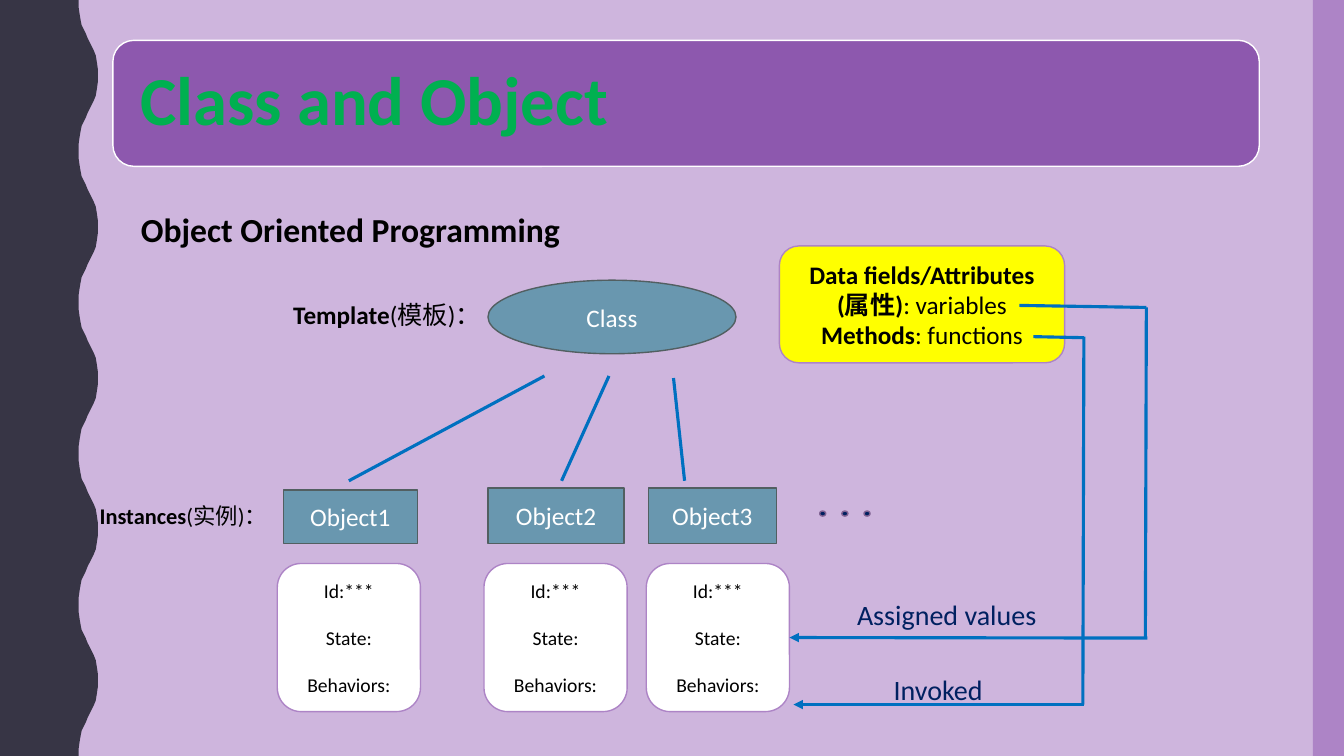
from lxml import etree
from pptx import Presentation
from pptx.dml.color import RGBColor
from pptx.enum.shapes import MSO_CONNECTOR, MSO_SHAPE
from pptx.enum.text import MSO_ANCHOR as ANCHOR, MSO_AUTO_SIZE as AUTO, PP_ALIGN as ALIGN
from pptx.oxml.ns import qn
from pptx.util import Inches, Pt

COLORS = {
    "background": "CEB5DD", "wave": "373545", "lilac": "AD84C6", "banner": "874EA9",
    "title": "00B050", "blue": "6997AF", "outline": "525F61", "line": "0070C0",
    "navy": "002060", "dot_edge": "806292", "yellow": "FFFF00",
    "white": "FFFFFF", "black": "000000",
}

# Left edge of the wave over half a period, as (x, y) in hundredths of an inch.
HALF_WAVE = [
    (78, 0), (78, 7), (79, 14), (80, 20), (81, 25), (83, 29), (85, 33), (87, 38),
    (89, 42), (91, 46), (93, 50), (95, 55), (96, 61), (97, 68), (97, 75),
]
PERIOD = 150


def rgb(name):
    return RGBColor.from_string(COLORS[name])


def set_all(target, values):
    for name, value in values.items():
        setattr(target, name, value)


class SlideBuilder:
    """Holds the text style and the slide being drawn."""

    font = "Calibri"

    def __init__(self, slide):
        self.slide = slide
        self.shapes = slide.shapes
        fill = slide.background.fill
        fill.solid()
        fill.fore_color.rgb = rgb("background")

    def add_text(self, frame, paras, size, color, align=ALIGN.CENTER, **para_format):
        """Fill a frame; each paragraph is a list of (text, bold) spans."""
        for number, spans in enumerate(paras):
            para = frame.add_paragraph() if number else frame.paragraphs[0]
            set_all(para, {"alignment": align, **para_format})
            if number == 0:
                para.space_before = Pt(0)
            for text, bold in spans:
                span = para.add_run()
                span.text = text
                set_all(span.font, {"name": self.font, "size": Pt(size), "bold": bold})
                span.font.color.rgb = rgb(color)

    def paint(self, shape, fill, line=None):
        shape.shadow.inherit = False
        shape.fill.solid()
        shape.fill.fore_color.rgb = rgb(fill)
        if line:
            shape.line.color.rgb = rgb(line)
            shape.line.width = Pt(1)
        else:
            shape.line.fill.background()

    def shape(self, kind, place, fill, line=None, paras=(), size=18, color="white", **para_format):
        shape = self.shapes.add_shape(kind, *map(Inches, place))
        self.paint(shape, fill, line)
        set_all(shape.text_frame, {"word_wrap": True, "vertical_anchor": ANCHOR.MIDDLE})
        self.add_text(shape.text_frame, paras, size, color, **para_format)
        return shape

    def wave(self, periods):
        rise = HALF_WAVE + [(x, PERIOD - y) for x, y in HALF_WAVE[-2::-1]]
        edge = [(x, y + PERIOD * turn) for turn in range(periods) for x, y in rise]
        builder = self.shapes.build_freeform(0, 0, scale=Inches(0.01))
        builder.add_line_segments(edge + [(0, PERIOD * periods)], close=True)
        self.paint(builder.convert_to_shape(), "wave")

    def title(self, text, place):
        title = self.shapes.title
        # Bring the title in front of its banner.
        title.element.getparent().append(title.element)
        set_all(title, dict(zip(("left", "top", "width", "height"), map(Inches, place))))
        margins = ("margin_left", "margin_top", "margin_right", "margin_bottom")
        set_all(title.text_frame, dict.fromkeys(margins, Inches(0.2)))
        set_all(title.text_frame, {"word_wrap": True, "auto_size": AUTO.NONE,
                                   "vertical_anchor": ANCHOR.MIDDLE})
        self.add_text(title.text_frame, [[(text, True)]], 49, "title", ALIGN.LEFT,
                      line_spacing=0.9)

    def label(self, place, spans, size, color="black", align=ALIGN.CENTER, wrap=True):
        box = self.shapes.add_textbox(*map(Inches, place))
        set_all(box.text_frame, {"word_wrap": wrap, "auto_size": AUTO.SHAPE_TO_FIT_TEXT})
        self.add_text(box.text_frame, [spans], size, color, align)

    def line(self, start, end, arrow=False):
        line = self.shapes.add_connector(MSO_CONNECTOR.STRAIGHT, *map(Inches, start + end))
        line.line.color.rgb = rgb("line")
        line.line.width = Pt(2.25)
        properties = line.element.find(qn("p:spPr"))
        if arrow:
            outline = properties.find(qn("a:ln"))
            etree.SubElement(outline, qn("a:tailEnd"), type="triangle")
        etree.SubElement(properties, qn("a:effectLst"))
        return line


def main():
    deck = Presentation()
    set_all(deck, {"slide_width": Inches(13.33), "slide_height": Inches(7.5)})
    page = SlideBuilder(deck.slides.add_slide(deck.slide_layouts[5]))

    page.wave(periods=5)
    page.shape(MSO_SHAPE.RECTANGLE, (13.02, 0, 0.31, 7.5), "lilac")
    banner = page.shape(MSO_SHAPE.ROUNDED_RECTANGLE, (1.12, 0.4, 11.37, 1.25), "banner", "white")
    banner_color = banner.element.find(qn("p:spPr")).find(f".//{qn('a:srgbClr')}")
    etree.SubElement(banner_color, qn("a:alpha"), val="90000")
    page.title("Class and Object", (1.19, 0.46, 11.25, 1.13))

    page.shape(MSO_SHAPE.OVAL, (4.84, 2.78, 2.46, 0.73), "blue", "outline", [[("Class", False)]])
    for start, end in (
        ((5.4, 3.73), (3.46, 4.77)),
        ((6.04, 3.73), (5.57, 4.77)),
        ((6.68, 3.75), (6.79, 4.77)),
    ):
        page.line(start, end)

    card_text = [[(text, False)] for text in ("Id:***", "State:", "Behaviors:")]
    instances = (
        ("Object1", (2.81, 4.86, 1.33, 0.53), 2.75),
        ("Object2", (4.84, 4.84, 1.35, 0.55), 4.8),
        ("Object3", (6.43, 4.84, 1.27, 0.55), 6.41),
    )
    for name, place, card_left in instances:
        page.shape(MSO_SHAPE.RECTANGLE, place, "blue", "outline", [[(name, False)]])
        card = page.shape(MSO_SHAPE.ROUNDED_RECTANGLE, (card_left, 5.59, 1.42, 1.47),
                          "white", "lilac", card_text, 14, "black", space_before=Pt(17))
    for number in range(3):
        page.shape(MSO_SHAPE.OVAL, (8.13 + 0.22 * number, 5.07, 0.06, 0.05), "navy", "dot_edge")

    page.shape(
        MSO_SHAPE.ROUNDED_RECTANGLE, (7.73, 2.44, 2.83, 1.16), "yellow", "lilac",
        [[("Data fields/Attributes (属性)", True), (": variables", False)],
         [("Methods", True), (": functions", False)]],
        color="black",
    )
    page.line((10.11, 3.03), (11.37, 3.05))
    page.line((11.37, 3.05), (11.36, 6.33))
    values_arrow = page.line((11.38, 6.33), (7.87, 6.33), arrow=True)
    values_arrow.end_connect(card, 3)
    page.line((10.25, 3.34), (10.75, 3.35))
    page.line((10.75, 3.34), (10.74, 6.99))
    page.line((10.75, 6.99), (7.87, 6.99), arrow=True)

    page.label((0.94, 2.02, 5.07, 0.5), [("Object Oriented Programming", True)], 24)
    page.label((8.39, 5.88, 2, 0.44), [("Assigned values", False)], 20, "navy", wrap=False)
    page.label((8.76, 6.62, 1.09, 0.44), [("Invoked", False)], 20, "navy", wrap=False)
    page.label((2.81, 2.92, 2.11, 0.4), [("Template", True), ("(模板)：", False)],
               18, align=ALIGN.LEFT)
    page.label((0.89, 4.93, 2.14, 0.37), [("Instances", True), ("(实例)：", False)],
               16, align=ALIGN.LEFT)

    deck.save("out.pptx")


if __name__ == "__main__":
    main()
